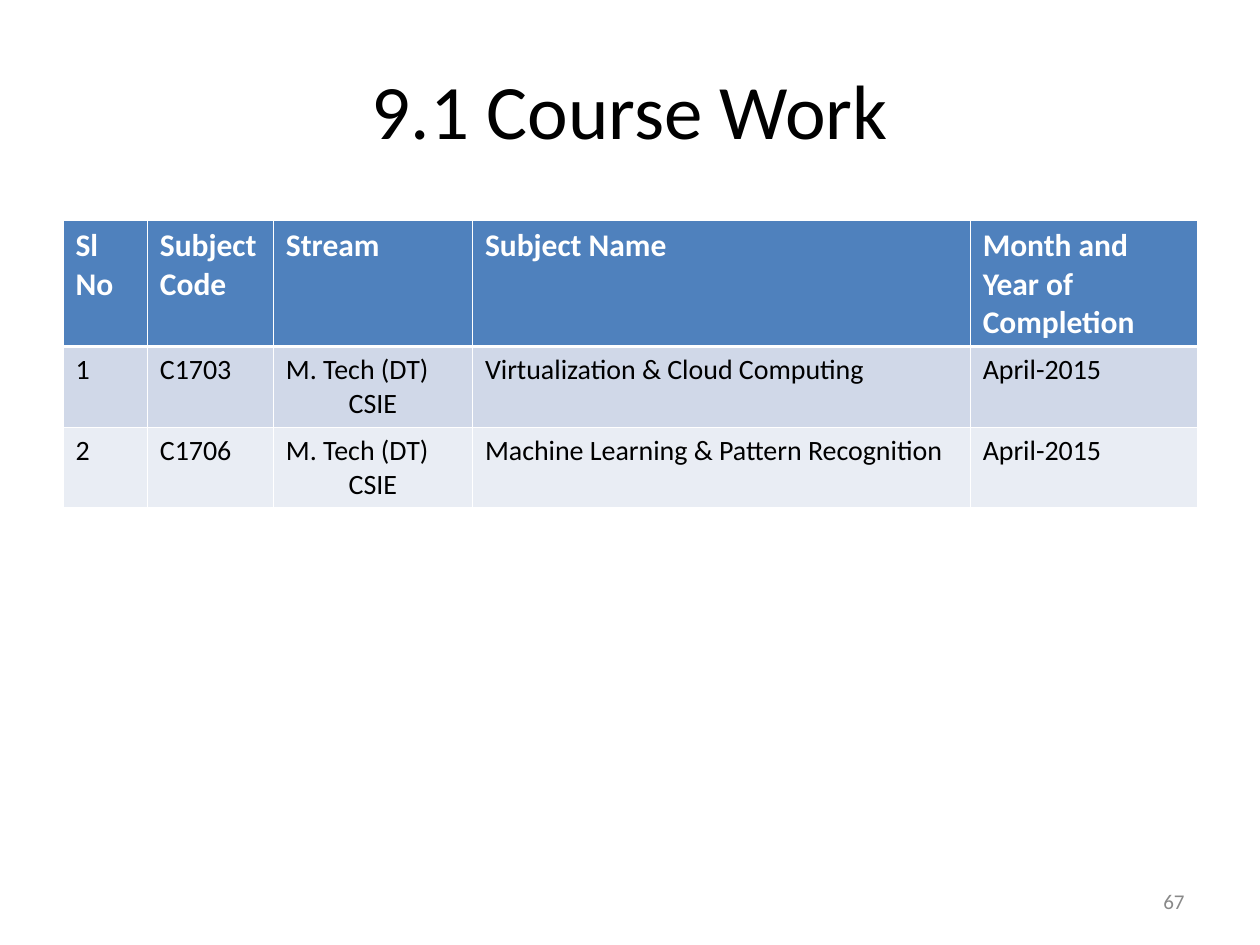
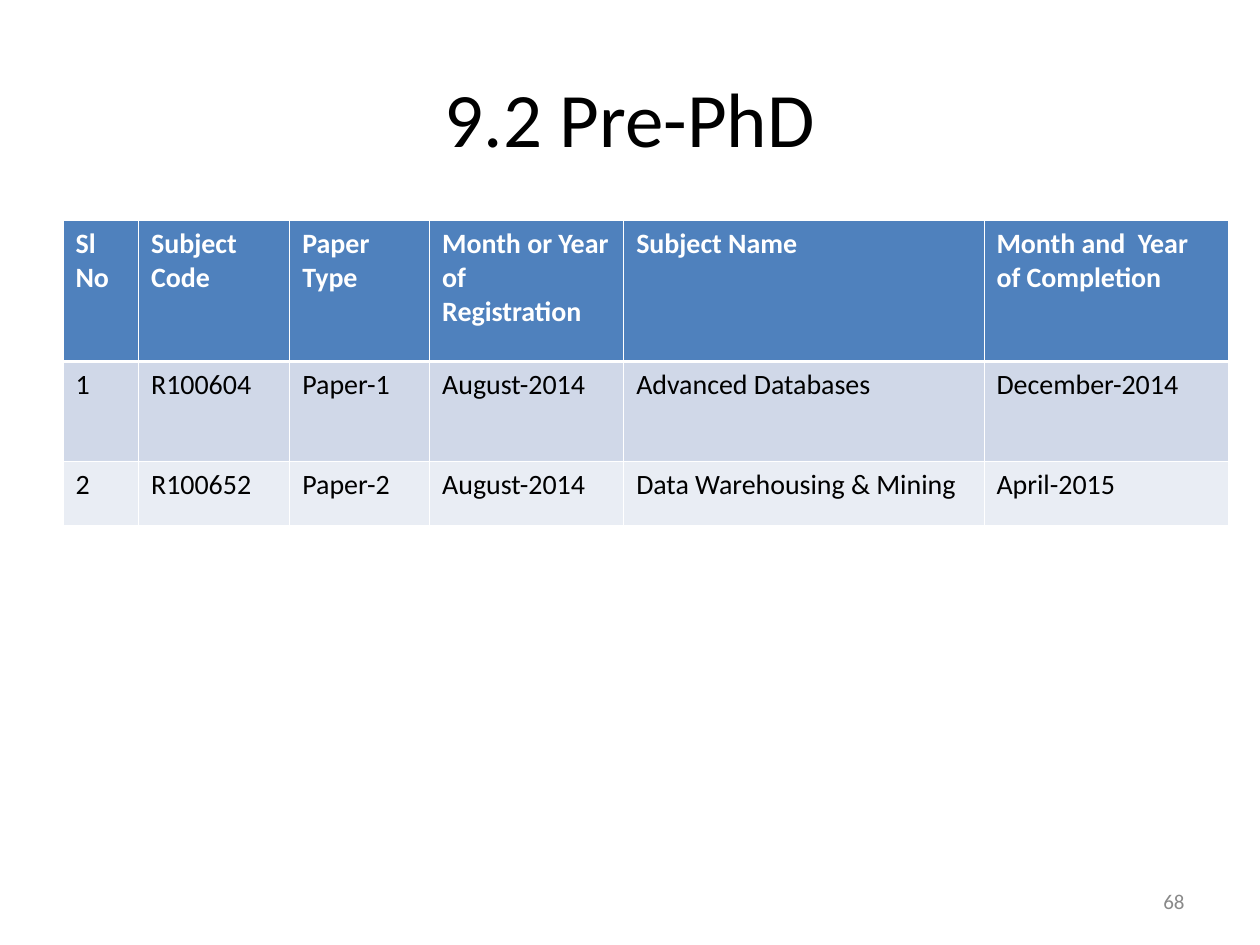
"""Build two slides that list completed course work and pre-PhD papers."""
from dataclasses import dataclass

from pptx import Presentation
from pptx import util as u
from pptx.dml.color import RGBColor
from pptx.enum import text
from pptx.oxml import parse_xml
from pptx.oxml.ns import nsdecls

SLIDE_WIDTH, SLIDE_HEIGHT = u.Inches(10), u.Inches(7.5)
GRID_COLUMNS, GRID_ROWS = 100, 75

FONT = "Calibri"
BLACK, WHITE, GREY = "000000", "FFFFFF", "898989"
HEADER_FILL = "4F81BD"
BAND_FILLS = ("D0D8E8", "E9EDF4")
THIN_RULE, HEADER_RULE = 0.45, 1.47
BODY_SIZE = 16


@dataclass(frozen=True)
class Label:
    left: float
    top: float
    width: float
    height: float
    size: int
    color: str
    align: text.PP_ALIGN


@dataclass(frozen=True)
class CourseSlide:
    title: str
    title_height: float
    number: str
    header_size: int
    columns: tuple[float, ...]
    rows: tuple[float, ...]
    records: tuple[tuple[str, ...], ...]


PAGE_NUMBER = Label(71.7, 69.5, 23.3, 4, 12, GREY, text.PP_ALIGN.RIGHT)
TABLE_LEFT, TABLE_TOP = 5, 17.5
STREAM = "M. Tech (DT)\nCSIE"

COURSE_SLIDES = (
    CourseSlide(
        "9.1 Course Work", 11.2, "67", 18,
        (6.7, 10, 15.8, 39.5, 18), (10, 6.4, 6.4),
        (
            ("Sl No", "Subject Code", "Stream", "Subject Name",
             "Month and  Year of Completion"),
            ("1", "C1703", STREAM, "Virtualization & Cloud Computing", "April-2015"),
            ("2", "C1706", STREAM, "Machine Learning & Pattern Recognition", "April-2015"),
        ),
    ),
    CourseSlide(
        "9.2 Pre-PhD", 12.5, "68", 16,
        (6, 12, 11.1, 15.4, 28.6, 19.4), (11.2, 7.9, 5.1),
        (
            ("Sl No", "Subject Code", "Paper Type", "Month or Year of Registration",
             "Subject Name", "Month and  Year of Completion"),
            ("1", "R100604", "Paper-1", "August-2014", "Advanced Databases",
             "December-2014"),
            ("2", "R100652", "Paper-2", "August-2014", "Data Warehousing & Mining",
             "April-2015"),
        ),
    ),
)


def across(columns: float) -> int:
    return round(SLIDE_WIDTH * columns / GRID_COLUMNS)


def down(rows: float) -> int:
    return round(SLIDE_HEIGHT * rows / GRID_ROWS)


def rgb(color: str) -> RGBColor:
    return RGBColor.from_string(color)


def style(paragraph, size: int, color: str, align: text.PP_ALIGN, bold: bool = False) -> None:
    paragraph.alignment = align
    font = paragraph.font
    font.name, font.size, font.bold = FONT, u.Pt(size), bold
    font.color.rgb = rgb(color)


def add_label(slide, label: Label, wording: str) -> None:
    box = slide.shapes.add_textbox(across(label.left), down(label.top),
                                   across(label.width), down(label.height))
    frame = box.text_frame
    frame.word_wrap = True
    frame.vertical_anchor = text.MSO_ANCHOR.MIDDLE
    frame.text = wording
    style(frame.paragraphs[0], label.size, label.color, label.align)


def add_borders(cell, top: float, bottom: float) -> None:
    edges = (("L", THIN_RULE), ("R", THIN_RULE), ("T", top), ("B", bottom))
    properties = cell._tc.get_or_add_tcPr()
    for position, (edge, width) in enumerate(edges):
        properties.insert(position, parse_xml(
            f'<a:ln{edge} {nsdecls("a")} w="{u.Pt(width)}"><a:solidFill>'
            f'<a:srgbClr val="{WHITE}"/></a:solidFill></a:ln{edge}>'))


def fill_cell(cell, wording: str, row: int, header_size: int) -> None:
    is_header = row == 0
    cell.text = wording
    cell.fill.solid()
    cell.fill.fore_color.rgb = rgb(HEADER_FILL if is_header else BAND_FILLS[(row - 1) % 2])
    add_borders(cell, HEADER_RULE if row == 1 else THIN_RULE,
                HEADER_RULE if is_header else THIN_RULE)
    for line, paragraph in enumerate(cell.text_frame.paragraphs):
        style(paragraph, header_size if is_header else BODY_SIZE,
              WHITE if is_header else BLACK,
              text.PP_ALIGN.CENTER if line else text.PP_ALIGN.LEFT, is_header)


def add_course_table(slide, course: CourseSlide) -> None:
    table = slide.shapes.add_table(
        len(course.rows), len(course.columns), across(TABLE_LEFT), down(TABLE_TOP),
        across(sum(course.columns)), down(sum(course.rows))).table
    table.horz_banding = False
    for column, width in zip(table.columns, course.columns):
        column.width = across(width)
    for row, height in zip(table.rows, course.rows):
        row.height = down(height)
    for row, record in enumerate(course.records):
        for column, wording in enumerate(record):
            fill_cell(table.cell(row, column), wording, row, course.header_size)


def add_course_slide(deck, course: CourseSlide) -> None:
    slide = deck.slides.add_slide(deck.slide_layouts[6])
    title = Label(5, 3, 90, course.title_height, 44, BLACK, text.PP_ALIGN.CENTER)
    add_label(slide, title, course.title)
    add_course_table(slide, course)
    add_label(slide, PAGE_NUMBER, course.number)


def main() -> None:
    deck = Presentation()
    deck.slide_width, deck.slide_height = SLIDE_WIDTH, SLIDE_HEIGHT
    for course in COURSE_SLIDES:
        add_course_slide(deck, course)
    deck.save("out.pptx")


if __name__ == "__main__":
    main()
